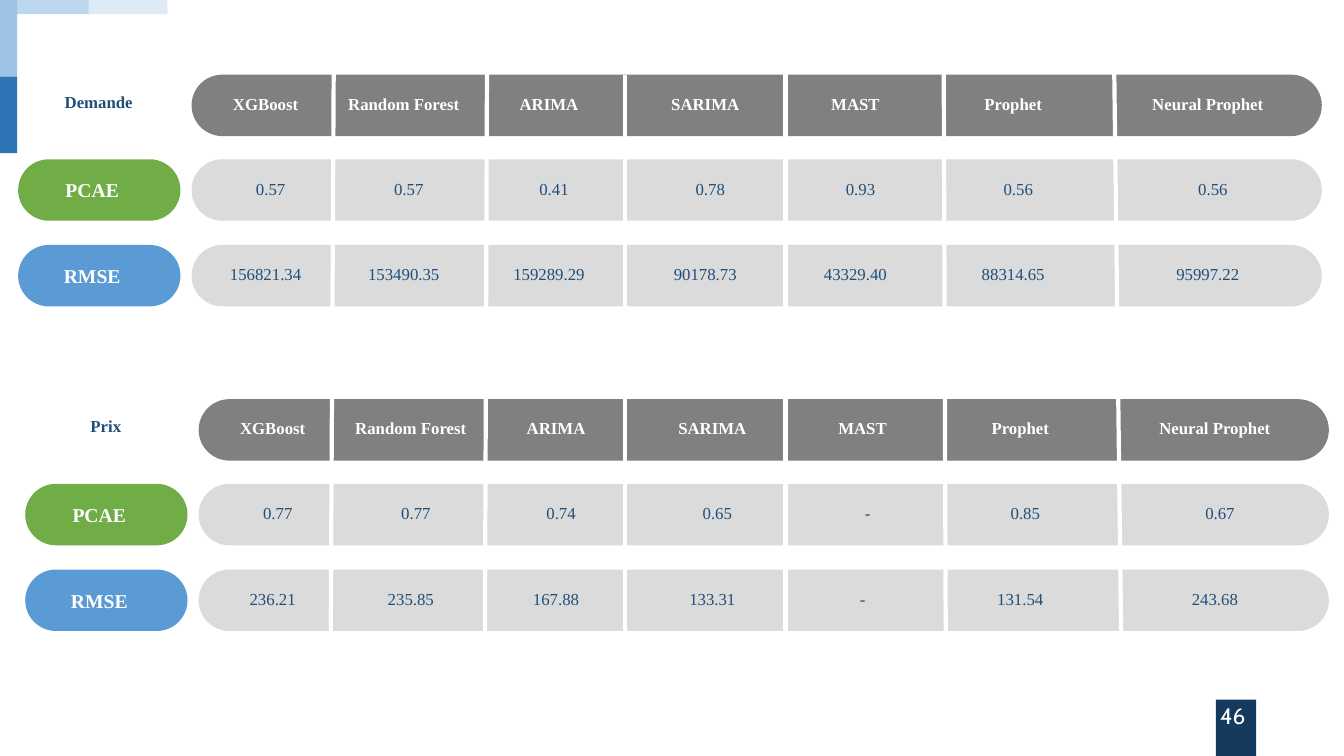
import pptx
import pptx.util
import pptx.dml.color
import pptx.enum.shapes
import pptx.enum.text
import pptx.oxml.ns
import lxml.etree

SCALE = 9144
SERIF = "Times New Roman"
WHITE, NAVY, GREY, PALE = "FFFFFF", "1F4E79", "808080", "DBDBDB"

HEADS = ["XGBoost", "Random Forest", "ARIMA", "SARIMA", "MAST", "Prophet", "Neural Prophet"]
COLS = [(0, 147), (137, 147), (252, 205), (407, 205), (552, 213), (737, 156), (930, 156)]
ROWS = [("PCAE", "70AD47", 84, 5), ("RMSE", "5B9BD5", 169, 0)]
TABLES = [
    ("Demande", 190, 74, [
        ["0.57", "0.57", "0.41", "0.78", "0.93", "0.56", "0.56"],
        ["156821.34", "153490.35", "159289.29", "90178.73", "43329.40", "88314.65", "95997.22"],
    ]),
    ("Prix", 197, 396, [
        ["0.77", "0.77", "0.74", "0.65", "-", "0.85", "0.67"],
        ["236.21", "235.85", "167.88", "133.31", "-", "131.54", "243.68"],
    ]),
]
RULES = [
    (331, 67, 328, 631), (483, 67, 481, 626), (620, 74, 620, 627),
    (779, 67, 779, 626), (936, 67, 938, 631), (1105, 60, 1112, 631),
]
BLOCKS = [
    (1206, 694, 40, 56, "163A5D"), (14, -1, 76, 15, "BDD7EE"),
    (0, 0, 17, 76, "9DC3E6"), (0, 76, 17, 76, "2E75B6"), (88, -1, 78, 15, "DEEBF7"),
]

KIND = pptx.enum.shapes.MSO_SHAPE
ALIGN = pptx.enum.text.PP_ALIGN

deck = pptx.Presentation()
deck.slide_width = 1333 * SCALE
deck.slide_height = 750 * SCALE
slide = deck.slides.add_slide(deck.slide_layouts[6])


def color(hue):
    return pptx.dml.color.RGBColor.from_string(hue)


def block(x, y, w, h, hue, kind=KIND.RECTANGLE):
    shape = slide.shapes.add_shape(kind, *(n * SCALE for n in (x, y, w, h)))
    shape.shadow.inherit = False
    shape.fill.solid()
    shape.fill.fore_color.rgb = color(hue)
    shape.line.fill.background()
    return shape


def pill(x, y, w, hue):
    block(x, y, w, 61, hue, KIND.ROUNDED_RECTANGLE).adjustments[0] = 0.5


def label(text, x, y, w, h=30, hue=NAVY, size=12, bold=False, font=SERIF, align=ALIGN.CENTER):
    box = slide.shapes.add_textbox(*(n * SCALE for n in (x, y, w, h)))
    frame = box.text_frame
    frame.word_wrap = True
    frame.text = text
    par = frame.paragraphs[0]
    par.alignment = align
    face = par.runs[0].font
    face.name, face.size, face.bold = font, pptx.util.Pt(size), bold
    face.color.rgb = color(hue)
    return par


def rule(*ends):
    line = slide.shapes.add_connector(
        pptx.enum.shapes.MSO_CONNECTOR.STRAIGHT, *(n * SCALE for n in ends))
    line.line.color.rgb = color(WHITE)
    line.line.width = pptx.util.Pt(3)
    lxml.etree.SubElement(line._element.spPr, pptx.oxml.ns.qn("a:effectLst"))


def table(title, left, top, data):
    label(title, left - 187, top + 12, 190, bold=True)
    pill(left, top, 1121, GREY)
    for head, (x, w) in zip(HEADS, COLS):
        label(head, left + x, top + 14, w, hue=WHITE, bold=True)
    for (name, hue, drop, shift), cells in zip(ROWS, data):
        y = top + drop
        pill(left, y, 1121, PALE)
        pill(left - 172, y, 161, hue)
        label(name, left - 172, y + 14, 147, 34, WHITE, 14, True)
        for cell, (x, w) in zip(cells, COLS):
            label(cell, left + x + shift, y + 14, w)


for item in BLOCKS:
    block(*item)
for item in TABLES:
    table(*item)
for ends in RULES:
    rule(*ends)
page = label("46", 945, 695, 300, 40, WHITE, 16, font="Cabin", align=ALIGN.RIGHT)
page.line_spacing = 0.9

deck.save("out.pptx")
